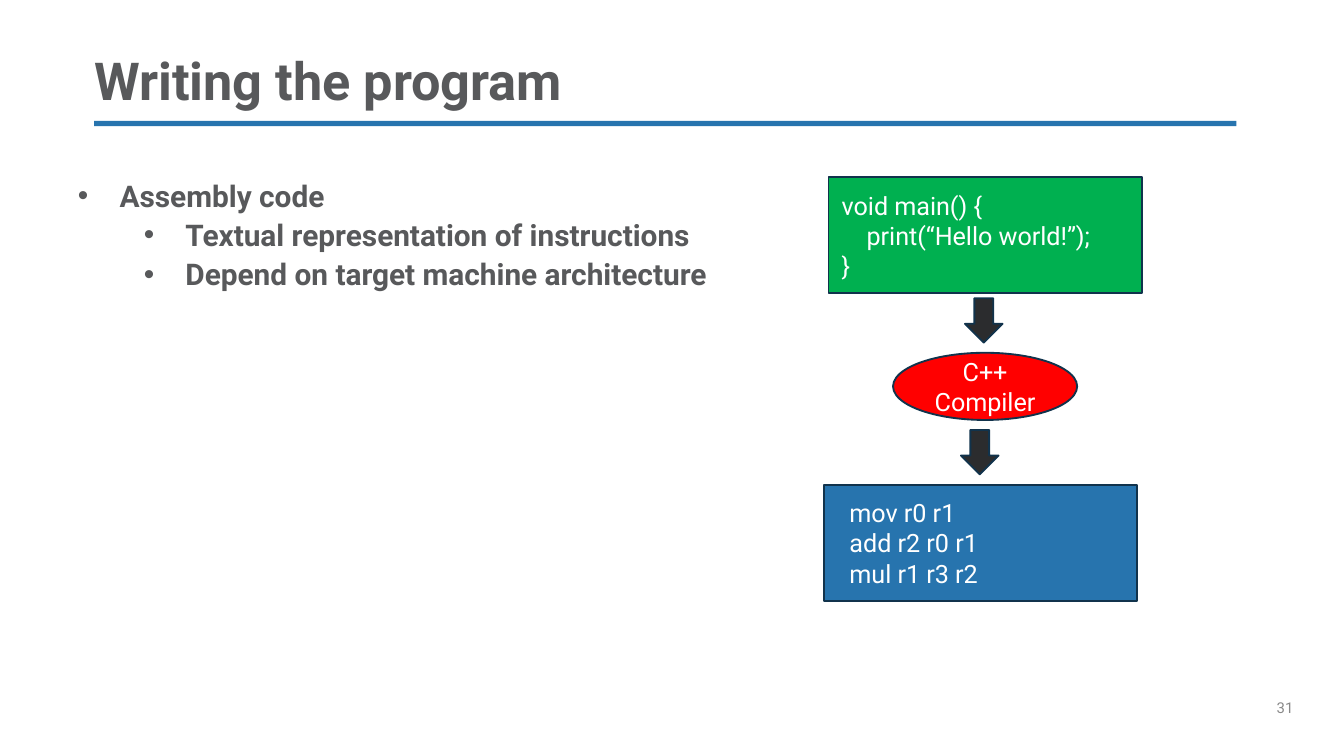
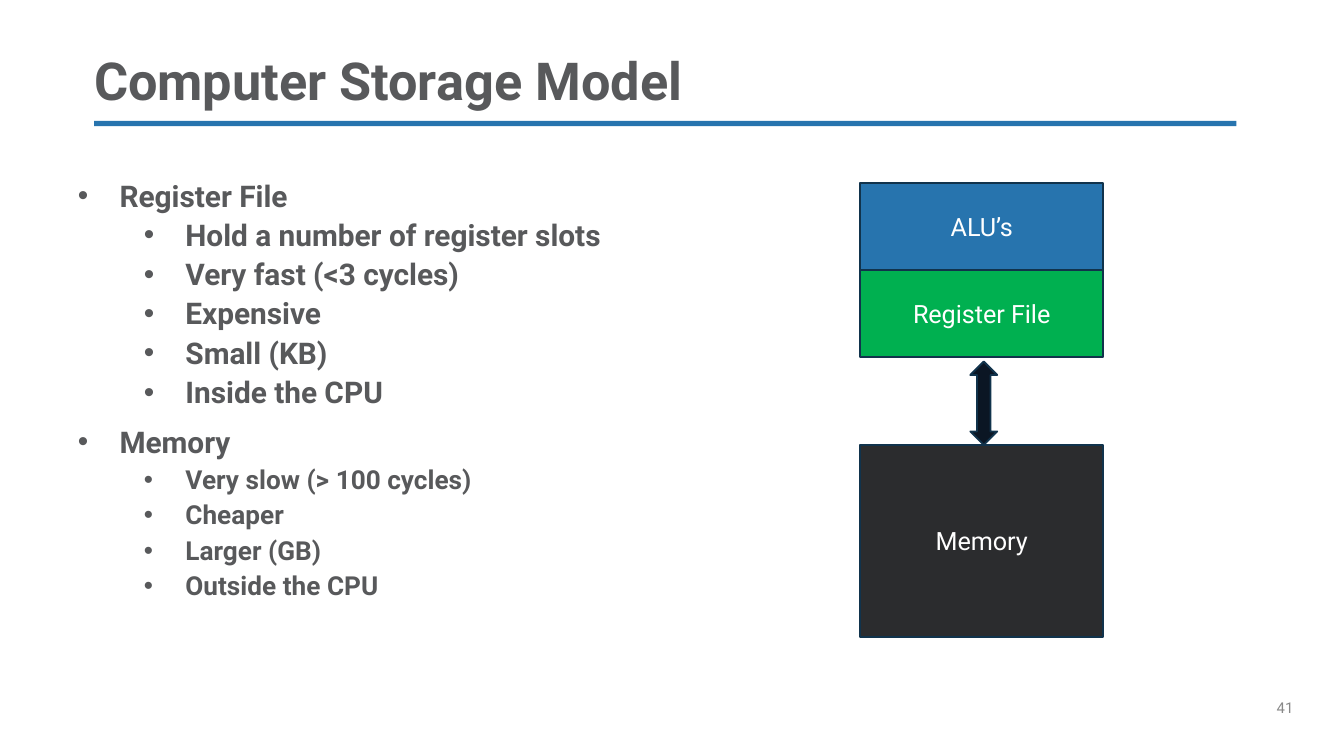
from lxml.etree import SubElement
from pptx import Presentation
from pptx.dml.color import RGBColor
from pptx.enum.shapes import MSO_SHAPE as SHAPE
from pptx.enum.text import MSO_ANCHOR as ANCHOR, MSO_AUTO_SIZE as AUTO_SIZE, PP_ALIGN as ALIGN
from pptx.oxml.ns import qn
from pptx.util import Inches, Pt

FONT = "Roboto"
BLUE = RGBColor(0x27, 0x74, 0xAE)
GREEN = RGBColor(0x00, 0xB0, 0x50)
RED = RGBColor(0xFF, 0x00, 0x00)
CHARCOAL = RGBColor(0x2B, 0x2C, 0x2E)
MIDNIGHT = RGBColor(0x0B, 0x16, 0x24)
OUTLINE = RGBColor(0x11, 0x33, 0x4C)
WHITE = RGBColor(0xFF, 0xFF, 0xFF)
TEXT_GRAY = RGBColor(0x58, 0x59, 0x5B)
NUMBER_GRAY = RGBColor(0x89, 0x89, 0x89)

# The grid has ten columns and ten rows to the inch.
COLUMNS, ROWS = 100, 56.25
HANGING = 3.1
BULLET_INDENTS = (3.1, 8)


def grid(*cells):
    return [Inches(cell / 10) for cell in cells]


def move(shape, area):
    shape.left, shape.top, shape.width, shape.height = grid(*area)


def write(paragraph, text, size=13.5, color=WHITE, bold=False, align=ALIGN.LEFT,
          spacing=1.0, before=0):
    paragraph.alignment = align
    paragraph.line_spacing = spacing
    paragraph.space_before = Pt(before)
    run = paragraph.add_run()
    run.text = text
    run.font.name = FONT
    run.font.size = Pt(size)
    run.font.bold = bold
    run.font.color.rgb = color


def next_paragraph(frame, index):
    return frame.add_paragraph() if index else frame.paragraphs[0]


def set_frame(frame, anchor=ANCHOR.TOP, auto_size=AUTO_SIZE.SHAPE_TO_FIT_TEXT):
    """Wrap the text in a frame without margins."""
    frame.word_wrap = True
    frame.auto_size = auto_size
    frame.vertical_anchor = anchor
    frame.margin_left = frame.margin_top = 0
    frame.margin_right = frame.margin_bottom = 0


def add_bullet(paragraph, level):
    paragraph.level = level
    properties = paragraph._p.get_or_add_pPr()
    indent, hanging = grid(BULLET_INDENTS[level], HANGING)
    properties.set("marL", str(indent))
    properties.set("indent", str(-hanging))
    SubElement(properties, qn("a:buFont"), typeface="Arial")
    SubElement(properties, qn("a:buChar"), char="•")


def add_figure(slide, kind, area, fill, text="", align=ALIGN.CENTER, outline=OUTLINE):
    shape = slide.shapes.add_shape(kind, *grid(*area))
    shape.shadow.inherit = False
    shape.fill.solid()
    shape.fill.fore_color.rgb = fill
    if outline is None:
        shape.line.fill.background()
    else:
        shape.line.color.rgb = outline
        shape.line.width = Pt(1)
    if text:
        frame = shape.text_frame
        frame.vertical_anchor = ANCHOR.MIDDLE
        for index, line in enumerate(text.split("\n")):
            write(next_paragraph(frame, index), line, align=align)


def fill_list(body, topics, height):
    """Write (heading, item size, items) topics as a two-level list."""
    move(body, (5.8, 13.2, 75, height))
    frame = body.text_frame
    set_frame(frame)
    entries = []
    for heading, size, items in topics:
        entries.append((heading, 0, 16, 1.0, 7.5))
        entries += [(item, 1, size, 0.9, 3.8) for item in items]
    for index, (text, level, size, spacing, before) in enumerate(entries):
        paragraph = next_paragraph(frame, index)
        add_bullet(paragraph, level)
        write(paragraph, text, size=size, color=TEXT_GRAY, bold=True,
              spacing=spacing, before=before if index else 0)


def add_slide(presentation, title, number, topics, list_height):
    """Add a slide with its title, rule, bulleted list and number."""
    slide = presentation.slides.add_slide(presentation.slide_layouts[1])
    add_figure(slide, SHAPE.RECTANGLE, (7, 9, 85, 0.4), BLUE, outline=None)
    heading = slide.shapes.title
    move(heading, (7, 4.15, 85, 4.2))
    set_frame(heading.text_frame, anchor=ANCHOR.BOTTOM)
    write(heading.text_frame.paragraphs[0], title, size=28, color=TEXT_GRAY,
          bold=True, spacing=0.9)
    fill_list(slide.placeholders[1], topics, list_height)
    footer = slide.shapes.add_textbox(*grid(95, 52, 5, 4))
    set_frame(footer.text_frame, auto_size=AUTO_SIZE.NONE)
    write(footer.text_frame.paragraphs[0], str(number), size=8, color=NUMBER_GRAY)
    return slide


def add_program_slide(presentation):
    topics = [("Assembly code", 16, ["Textual representation of instructions",
                                     "Depend on target machine architecture"])]
    slide = add_slide(presentation, "Writing the program", 31, topics, 14.3)
    source = "void main() {\n    print(“Hello world!”);\n}"
    assembly = "  mov r0 r1\n  add r2 r0 r1\n  mul r1 r3 r2"
    for left, top, fill, code in ((61.3, 36.1, BLUE, assembly),
                                  (61.65, 13.2, GREEN, source)):
        add_figure(slide, SHAPE.RECTANGLE, (left, top, 23.3, 8.6), fill, code, ALIGN.LEFT)
    add_figure(slide, SHAPE.OVAL, (66.45, 26.25, 13.7, 5), RED, "C++ Compiler")
    for left, top in ((71.8, 22.2), (71.5, 32)):
        add_figure(slide, SHAPE.DOWN_ARROW, (left, top, 2.8, 3.3), CHARCOAL)


def add_storage_slide(presentation):
    topics = [
        ("Register File", 16, ["Hold a number of register slots", "Very fast (<3 cycles)",
                               "Expensive", "Small (KB)", "Inside the CPU"]),
        ("Memory", 14, ["Very slow (> 100 cycles)", "Cheaper", "Larger (GB)",
                        "Outside the CPU"]),
    ]
    slide = add_slide(presentation, "Computer Storage Model", 41, topics, 33)
    top = 13.6
    for label, height, gap, fill in (("ALU’s", 6.5, 0, BLUE),
                                     ("Register File", 6.5, 6.5, GREEN),
                                     ("Memory", 14.3, 0, CHARCOAL)):
        add_figure(slide, SHAPE.RECTANGLE, (64, top, 18.1, height), fill, label)
        top += height + gap
    add_figure(slide, SHAPE.UP_DOWN_ARROW, (72.2, 26.9, 2, 6.2), MIDNIGHT)


def main():
    presentation = Presentation()
    presentation.slide_width, presentation.slide_height = grid(COLUMNS, ROWS)
    add_program_slide(presentation)
    add_storage_slide(presentation)
    presentation.save("out.pptx")


if __name__ == "__main__":
    main()
